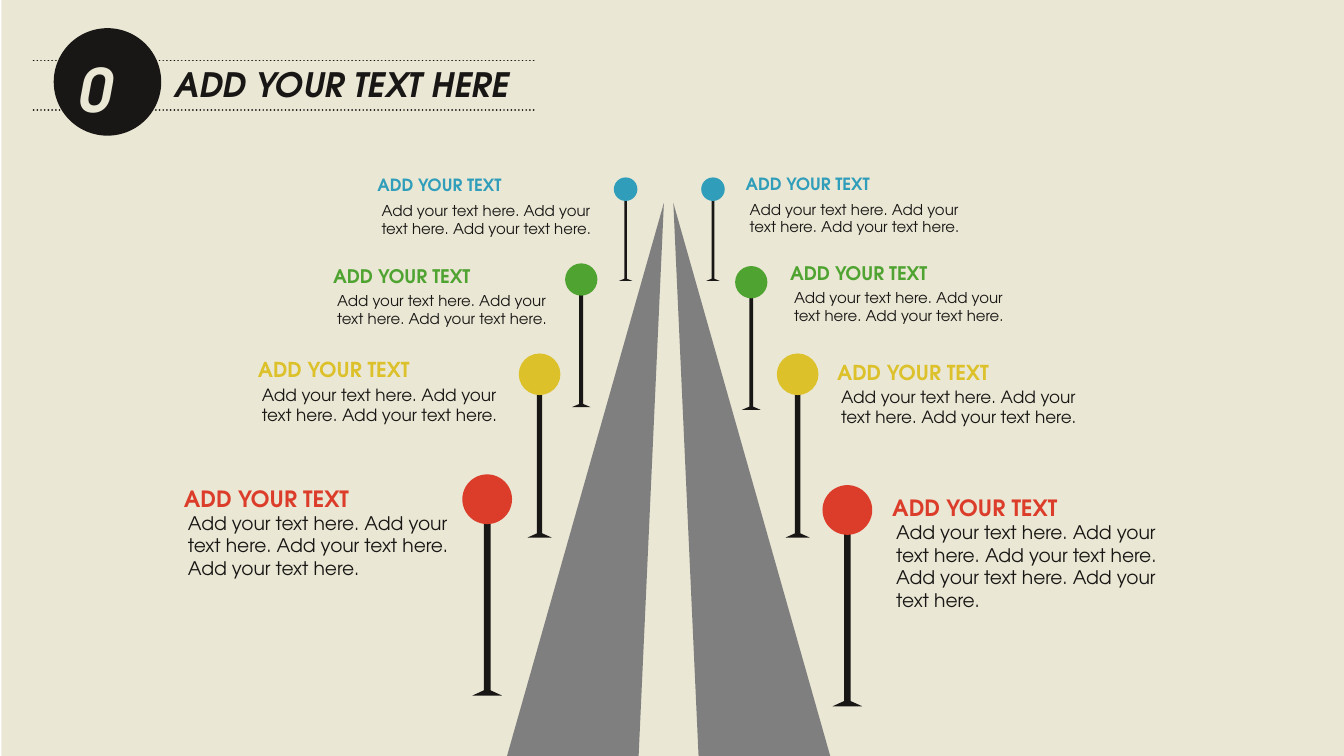
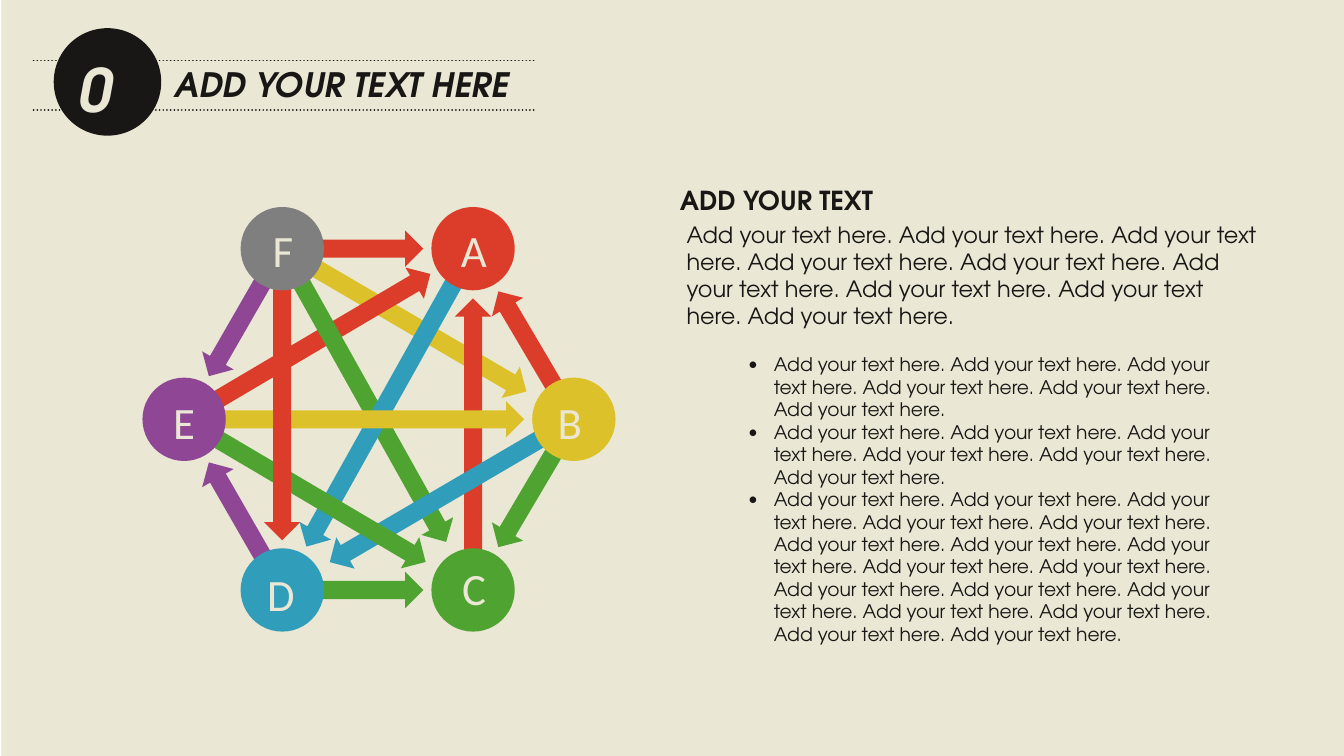
import math
import lxml.etree
import pptx
import pptx.dml.color
import pptx.enum.dml
import pptx.enum.shapes
import pptx.enum.text
import pptx.oxml.ns
import pptx.util

KIND = pptx.enum.shapes.MSO_SHAPE
QN = pptx.oxml.ns.qn

theme = {
    "ink": "181715", "paper": "EAE7D4", "road": "7F7F7F",
    "red": "DC3D2A", "gold": "DCC12A", "green": "4FA331",
    "blue": "309EBA", "plum": "8F4695",
    "font": "TeX Gyre Adventor", "plain": "Calibri",
    "title": 18, "badge": 32, "node": 24, "head": 14, "lead": 12, "list": 10,
}

deck = pptx.Presentation()
deck.slide_width = pptx.util.Inches(10)
deck.slide_height = deck.slide_width * 9 // 16
cell = deck.slide_width / 100  # the grid has 100 square columns


def draw(page, kind, box, color, turn=0):
    """Add a flat shape; with no kind, box lists the corners of an outline."""
    if kind is None:
        spots = [(round(x * cell), round(y * cell)) for x, y in box]
        pen = page.shapes.build_freeform(*spots[0])
        pen.add_line_segments(spots[1:], close=True)
        shape = pen.convert_to_shape()
    else:
        shape = page.shapes.add_shape(kind, *[round(n * cell) for n in box])
    shape.shadow.inherit = False
    shape.fill.solid()
    shape.fill.fore_color.rgb = pptx.dml.color.RGBColor.from_string(theme[color])
    shape.line.fill.background()
    shape.rotation = turn
    return shape


def write(page, box, lines, size, color="ink", wrap=False, bullet=False,
          font="font", **style):
    """Add a text box with one paragraph for each line."""
    frame = page.shapes.add_textbox(*[round(n * cell) for n in box]).text_frame
    frame.word_wrap = wrap
    frame.auto_size = pptx.enum.text.MSO_AUTO_SIZE.SHAPE_TO_FIT_TEXT
    form = {"name": theme[font], "size": pptx.util.Pt(size), **style}
    for i, line in enumerate(lines):
        para = frame.add_paragraph() if i else frame.paragraphs[0]
        run = para.add_run()
        run.text = line
        for key, value in form.items():
            setattr(run.font, key, value)
        run.font.color.rgb = pptx.dml.color.RGBColor.from_string(theme[color])
        if bullet:
            props = para._p.get_or_add_pPr()
            inset = round(1.9 * cell)
            props.set("marL", str(inset))
            props.set("indent", str(-inset))
            tint = lxml.etree.SubElement(props, QN("a:buClr"))
            lxml.etree.SubElement(tint, QN("a:srgbClr")).set("val", theme[color])
            face = lxml.etree.SubElement(props, QN("a:buFont"))
            face.set("typeface", theme["plain"])
            lxml.etree.SubElement(props, QN("a:buChar")).set("char", "•")


# Shared backdrop and title band
pages = []
for _ in range(2):
    page = deck.slides.add_slide(deck.slide_layouts[6])
    pages.append(page)
    draw(page, KIND.RECTANGLE, (0.1, 0, 99.9, 56.4), "paper")
    for y in (4.5, 8.2):
        rule = page.shapes.add_connector(
            pptx.enum.shapes.MSO_CONNECTOR.STRAIGHT,
            *[round(n * cell) for n in (2.5, y, 39.8, y)])
        rule.line.color.rgb = pptx.dml.color.RGBColor.from_string(theme["ink"])
        rule.line.width = pptx.util.Pt(1)
        rule.line.dash_style = pptx.enum.dml.MSO_LINE.ROUND_DOT
        rule._element.spPr.find(QN("a:ln")).set("cap", "rnd")
        lxml.etree.SubElement(rule._element.spPr, QN("a:effectLst"))
    draw(page, KIND.OVAL, (4, 2.1, 8, 8), "ink")
    write(page, (12, 4.3, 26.9, 4), ["ADD YOUR TEXT HERE"], theme["title"],
          bold=True, italic=True)
    write(page, (4.85, 3.4, 6.9, 6.4), ["01"], theme["badge"], "paper",
          bold=True, italic=True)

road, web = pages
head = "ADD YOUR TEXT"
words = "Add your text here."

# Road: two strips mirrored about the middle line
mid = 49.75
for side in (-1, 1):
    draw(road, None, [(mid + side * x, y) for x, y in
                      ((2.25, 56.7), (0.35, 15.1), (12.15, 56.7))], "road")

# Signs: colour, disc, pole (width, drop, height), foot (width, drop, height),
# title (size, width, height), text (size, width),
# then for each side: centre, top, title left, title top, sentences, text height
signs = [
    ("red", 3.7, (0.5, 3.2, 13.1), (2.2, 15.95, 0.5), (12, 15.2, 3), (10, 22.5),
     ((63.05, 36.1, 65.4, 36.3, 5, 7.7), (36.25, 35.3, 12.7, 35.6, 4, 6))),
    ("gold", 3.1, (0.4, 2.7, 10.9), (1.8, 13.3, 0.4), (11, 14.1, 2.9), (9, 20.9),
     ((59.35, 26.3, 61.3, 26.3, 3, 4), (40.15, 26.3, 18.2, 26.1, 3, 4))),
    ("green", 2.4, (0.3, 2.1, 8.5), (1.4, 10.4, 0.3), (10, 12.9, 2.7), (8, 19.5),
     ((55.9, 19.8, 57.8, 19, 3, 3.7), (43.25, 19.6, 23.8, 19.2, 3, 3.7))),
    ("blue", 1.75, (0.2, 1.45, 6.1), (1, 7.5, 0.2), (9, 11.9, 2.5), (8, 19.5),
     ((53.05, 13.2, 54.5, 12.4, 3, 3.7), (46.55, 13.2, 27.1, 12.5, 3, 3.7))),
]
for color, disc, pole, foot, title, text, sides in signs:
    for x, top, left, high, count, tall in sides:
        for kind, (wide, drop, deep), tint in (
                (KIND.RECTANGLE, pole, "ink"),
                (KIND.ISOSCELES_TRIANGLE, foot, "ink"),
                (KIND.OVAL, (disc, 0, disc), color)):
            draw(road, kind, (x - wide / 2, top + drop, wide, deep), tint)
        write(road, (left, high, *title[1:]), [head], title[0], color, bold=True)
        write(road, (left + 0.3, high + 2, text[1], tall),
              [" ".join([words] * count)], text[0], wrap=True)

# Web: text column
write(web, (50.1, 16, 44.8, 9), [" ".join([words] * 9)], theme["lead"], wrap=True)
write(web, (49.6, 13.2, 17.4, 3.4), [head], theme["head"], bold=True)
write(web, (54.7, 25.8, 38.6, 22.7), [" ".join([words] * n) for n in (6, 6, 17)],
      theme["list"], wrap=True, bullet=True)

# Nodes: centre, colour, letter offset and width
nodes = {
    "A": (35.2, 18.5, "red", -1.9, -2.4, 4.1),
    "B": (42.7, 31.2, "gold", -2.2, -2.3, 4.1),
    "C": (35.2, 43.9, "green", -1.8, -2.7, 4.1),
    "D": (21, 43.9, "blue", -2.1, -2.2, 4.4),
    "E": (13.7, 31.2, "plum", -1.8, -2.3, 3.8),
    "F": (21, 18.5, "road", -1.7, -2.4, 3.7),
}

# Arrows run from node to node, back to front, with a gap at each end
tail, near, far = 2.8, 3.7, 4.1
links = [("FA", "red", near), ("FB", "gold", far), ("BA", "red", near),
         ("CA", "red", near), ("EA", "red", near), ("FC", "green", far),
         ("AD", "blue", near), ("BD", "blue", far), ("FE", "plum", near),
         ("DE", "plum", near), ("EC", "green", far), ("EB", "gold", near),
         ("FD", "red", near), ("BC", "green", near), ("DC", "green", near)]
for (start, end), color, tip in links:
    x1, y1 = nodes[start][:2]
    x2, y2 = nodes[end][:2]
    span = math.hypot(x2 - x1, y2 - y1)
    size = span - tail - tip
    share = (tail + size / 2) / span
    x, y = x1 + (x2 - x1) * share, y1 + (y2 - y1) * share
    turn = math.degrees(math.atan2(y1 - y2, x1 - x2)) % 360
    draw(web, KIND.LEFT_ARROW, (x - size / 2, y - 1.35, size, 2.7), color, turn)

# Discs and letters
disc = 6.2
for name, (x, y, color, dx, dy, wide) in nodes.items():
    draw(web, KIND.OVAL, (x - disc / 2, y - disc / 2, disc, disc), color)
    write(web, (x + dx, y + dy, wide, 5), [name], theme["node"], "paper",
          font="plain")

deck.save("out.pptx")
